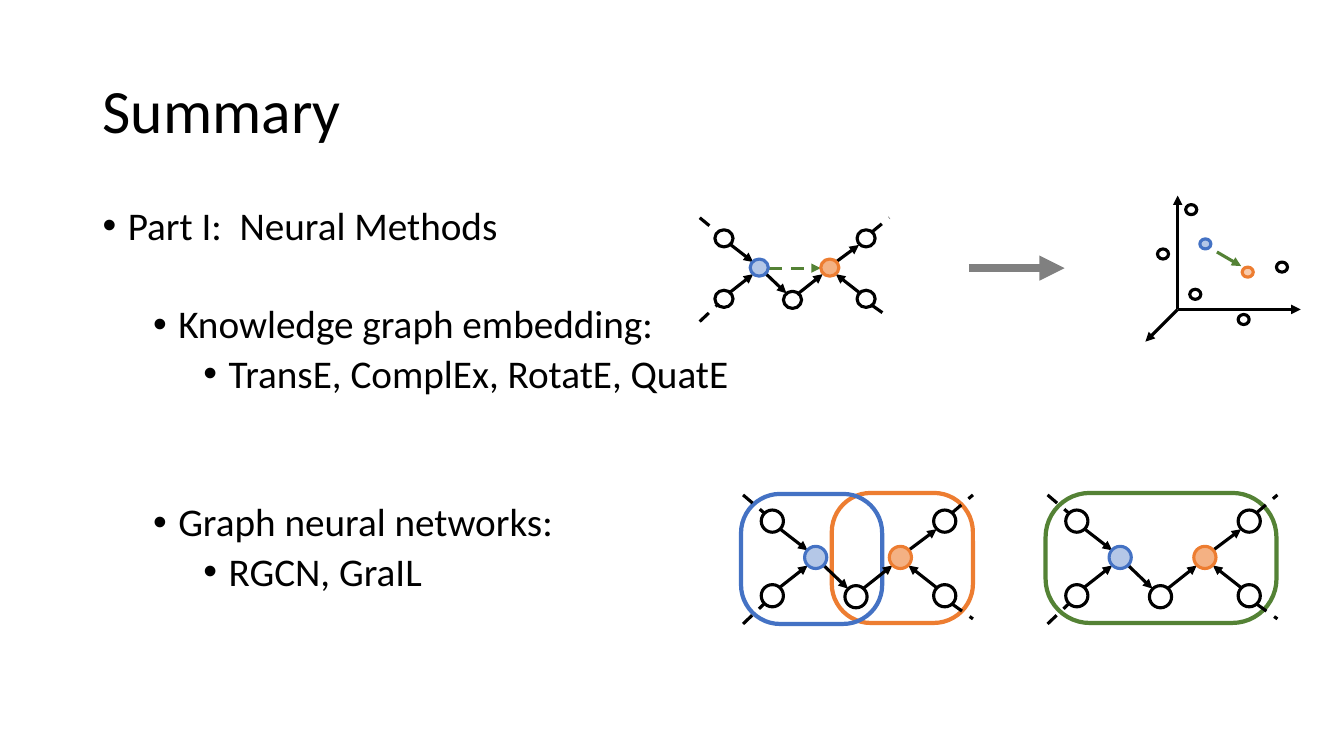
from lxml.etree import SubElement
from pptx import Presentation
from pptx.dml.color import RGBColor
from pptx.enum.dml import MSO_LINE_DASH_STYLE as DASH
from pptx.enum.shapes import MSO_CONNECTOR as CONNECTOR, MSO_SHAPE as SHAPE
from pptx.enum.text import MSO_ANCHOR as ANCHOR
from pptx.oxml.ns import qn
from pptx.util import Pt

EMU_PER_PX = 9144
FONT = "Calibri"
BLACK = RGBColor(0, 0, 0)
WHITE = RGBColor(255, 255, 255)
GRAY = RGBColor(0x80, 0x80, 0x80)
GREEN = RGBColor(0x54, 0x82, 0x35)
BLUE = RGBColor(0x44, 0x72, 0xC4)
LIGHT_BLUE = RGBColor(0xB4, 0xC7, 0xE7)
ORANGE = RGBColor(0xED, 0x7D, 0x31)
LIGHT_ORANGE = RGBColor(0xF4, 0xB1, 0x83)
PALE_ORANGE = RGBColor(0xF8, 0xCB, 0xAD)

GRAPH_WIDTH, GRAPH_HEIGHT = 228, 128
ENTITIES = [(112, 101), (29, 26), (29, 100), (200, 26), (200, 100)]
HEAD, TAIL = (72, 62), (156, 62)
RELATIONS = [
    ((80, 70), (104, 93)), ((37, 34), (64, 55)), ((36, 92), (64, 70)),
    ((164, 55), (192, 34)), ((192, 92), (164, 70)), ((119, 93), (148, 70)),
]
LOOSE_ENDS = [
    ((207, 18), (228, 0)), ((207, 108), (228, 123)),
    ((0, 128), (21, 108)), ((0, 0), (21, 18)),
]
BULLETS = [
    (0, 0, "Part I:  Neural Methods"),
    (1, 40, "Knowledge graph embedding:"),
    (2, 5, "TransE, ComplEx, RotatE, QuatE"),
    (1, 76, "Graph neural networks:"),
    (2, 5, "RGCN, GraIL"),
]


def px(value):
    return round(value) * EMU_PER_PX


def style_paragraph(paragraph, text, size):
    paragraph.text = text
    paragraph.line_spacing = 0.9
    paragraph.font.name = FONT
    paragraph.font.size = Pt(size)
    paragraph.font.color.rgb = BLACK


def add_text_frame(slide, left, top, width, height, anchor):
    box = slide.shapes.add_textbox(px(left), px(top), px(width), px(height))
    box.text_frame.word_wrap = True
    box.text_frame.vertical_anchor = anchor
    return box.text_frame


def add_title(slide, text):
    frame = add_text_frame(slide, 92, 40, 1150, 145, ANCHOR.MIDDLE)
    style_paragraph(frame.paragraphs[0], text, 44)


def add_bullets(slide, bullets):
    frame = add_text_frame(slide, 92, 200, 1150, 476, ANCHOR.TOP)
    for index, (level, space_before, text) in enumerate(bullets):
        paragraph = frame.add_paragraph() if index else frame.paragraphs[0]
        paragraph.level = level
        properties = paragraph._p.get_or_add_pPr()
        properties.set("marL", str(px(25 + 50 * level)))
        properties.set("indent", str(px(-25)))
        SubElement(properties, qn("a:buFont"), typeface="Arial")
        SubElement(properties, qn("a:buChar"), char="•")
        paragraph.space_before = Pt(space_before)
        style_paragraph(paragraph, text, 28)


def add_outlined(slide, kind, left, top, width, height, color, weight, fill=None):
    shape = slide.shapes.add_shape(kind, px(left), px(top), px(width), px(height))
    shape.shadow.inherit = False
    shape.line.color.rgb = color
    shape.line.width = Pt(weight)
    if fill is None:
        shape.fill.background()
    else:
        shape.fill.solid()
        shape.fill.fore_color.rgb = fill
    return shape


def add_node(slide, center, width, height, color=BLACK, fill=None):
    x, y = center
    add_outlined(slide, SHAPE.OVAL, x - width / 2, y - height / 2,
                 width, height, color, 2.25, fill)


def add_region(slide, left, top, width, color, rounding):
    region = add_outlined(slide, SHAPE.ROUNDED_RECTANGLE, left, top, width, 129, color, 3)
    region.adjustments[0] = rounding


def add_line(slide, start, end, color=BLACK, weight=2.25, arrow=True, dashed=False):
    line = slide.shapes.add_connector(
        CONNECTOR.STRAIGHT, *(px(value) for value in (*start, *end)))
    line.line.color.rgb = color
    line.line.width = Pt(weight)
    if dashed:
        line.line.dash_style = DASH.DASH
    if arrow:
        SubElement(line.line._get_or_add_ln(), qn("a:tailEnd"), type="triangle")
    SubElement(line._element.spPr, qn("a:effectLst"))


def add_graph(slide, left, top, width, height, node_width, node_height):
    def place(point):
        x, y = point
        return left + x * width / GRAPH_WIDTH, top + y * height / GRAPH_HEIGHT

    for entity in ENTITIES:
        add_node(slide, place(entity), node_width, node_height, BLACK, WHITE)
    for start, end in RELATIONS:
        add_line(slide, place(start), place(end))
    for start, end in LOOSE_ENDS:
        add_line(slide, place(start), place(end), arrow=False, dashed=True)
    add_node(slide, place(HEAD), node_width, node_height, BLUE, LIGHT_BLUE)
    add_node(slide, place(TAIL), node_width, node_height, ORANGE, LIGHT_ORANGE)


def add_embedding_space(slide):
    origin = (1168, 307)
    for axis_end in [(1168, 194), (1290, 307), (1136, 339)]:
        add_line(slide, origin, axis_end)
    add_node(slide, (1196, 242), 11, 10, BLUE, LIGHT_BLUE)
    add_node(slide, (1238, 270), 11, 10, ORANGE, PALE_ORANGE)
    add_line(slide, (1207, 250), (1231, 264), GREEN)
    for point in [(1272, 265), (1233, 317), (1153, 252), (1181, 208), (1186, 292)]:
        add_node(slide, point, 11, 10)


def main():
    presentation = Presentation()
    presentation.slide_width = px(1333)
    presentation.slide_height = px(750)
    slide = presentation.slides.add_slide(presentation.slide_layouts[6])

    add_title(slide, "Summary")
    add_bullets(slide, BULLETS)

    add_line(slide, (763, 266), (814, 266), GREEN, dashed=True)
    add_graph(slide, 694, 216, 188, 103, 18, 17)
    add_embedding_space(slide)
    add_line(slide, (961, 266), (1056, 266), GRAY, 6)

    add_region(slide, 825, 489, 140, ORANGE, 0.3)
    add_region(slide, 735, 490, 140, BLUE, 0.3)
    add_graph(slide, 737, 491, GRAPH_WIDTH, GRAPH_HEIGHT, 22, 22)
    add_region(slide, 1037, 489, 229, GREEN, 0.34)
    add_graph(slide, 1039, 491, GRAPH_WIDTH, GRAPH_HEIGHT, 22, 22)

    presentation.save("out.pptx")


if __name__ == "__main__":
    main()
